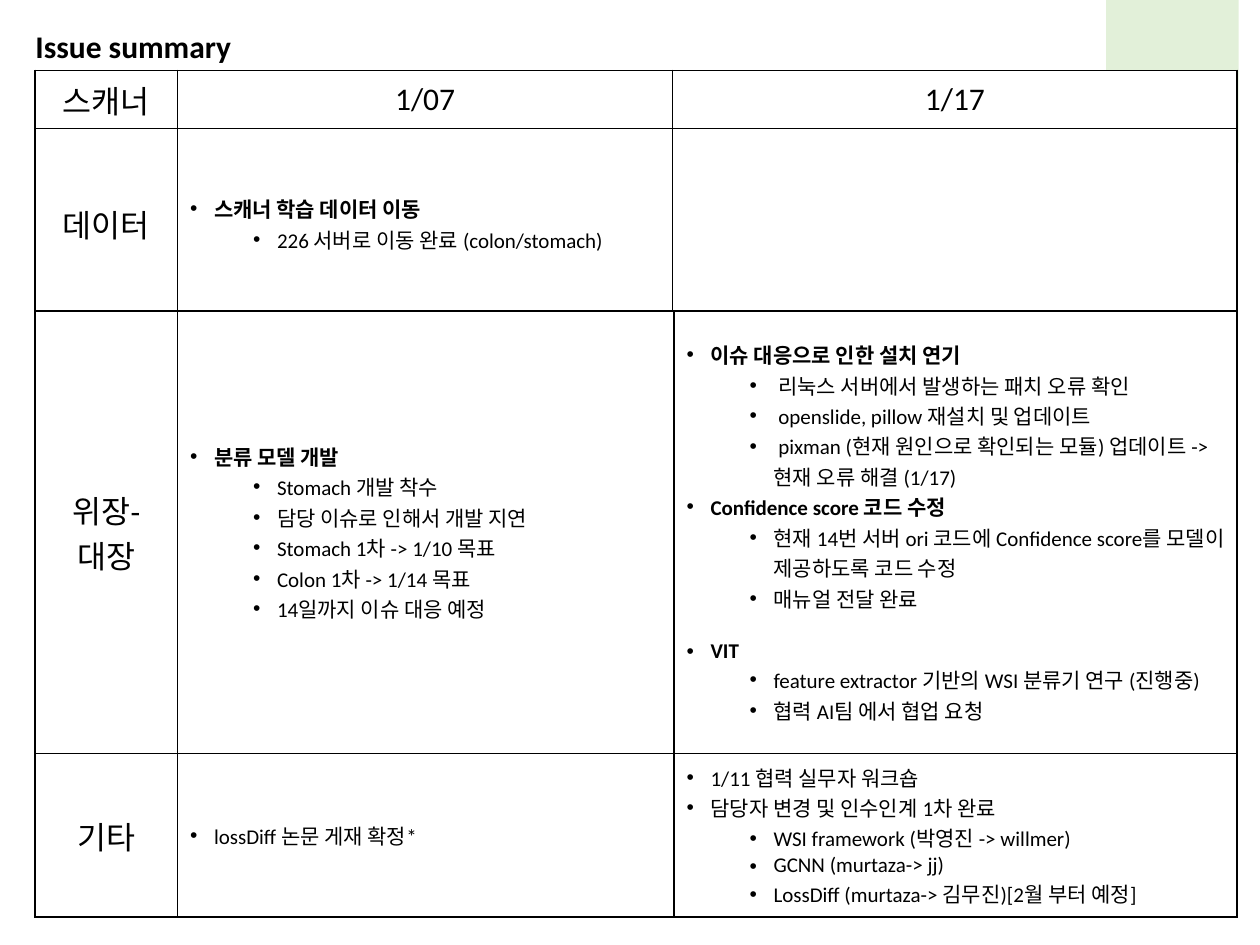
from dataclasses import dataclass

from lxml import etree
from pptx import Presentation
from pptx.dml.color import RGBColor
from pptx.enum.shapes import MSO_SHAPE
from pptx.enum.text import MSO_ANCHOR, MSO_AUTO_SIZE, PP_ALIGN
from pptx.oxml.ns import qn
from pptx.util import Cm, Pt

RECT = MSO_SHAPE.RECTANGLE
MIDDLE, TOP = MSO_ANCHOR.MIDDLE, MSO_ANCHOR.TOP
LEFT, CENTER = PP_ALIGN.LEFT, PP_ALIGN.CENTER
FIXED = MSO_AUTO_SIZE.NONE
FONT = "Calibri"
BLACK, WHITE, GREEN = "000000", "FFFFFF", "E2F0D9"
HANG = 0.48  # bullet to text, cm
STEP = 1.27  # extra indent per level, cm
EDGE = 0.71  # left side of the tables, cm


@dataclass
class Item:
    text: str
    level: int = 0
    bold: bool = False
    gap: float = 0


@dataclass
class Grid:
    top: float
    cols: list[float]
    rows: list[float]
    cells: list[list]


def color(code: str) -> RGBColor:
    return RGBColor.from_string(code)


def add_run(para, text: str, size: float, bold: bool = False) -> None:
    run = para.add_run()
    run.text = text
    font = run.font
    font.name, font.size, font.bold = FONT, Pt(size), bold
    font.color.rgb = color(BLACK)


def add_item(para, item: Item) -> None:
    props = para._p.get_or_add_pPr()
    props.set("marL", str(Cm(HANG + STEP * item.level)))
    props.set("indent", str(-Cm(HANG)))
    etree.SubElement(props, qn("a:buFont")).set("typeface", "Arial")
    etree.SubElement(props, qn("a:buChar")).set("char", "•")
    para.level = item.level
    if item.gap:
        para.space_before = Pt(item.gap)
    add_run(para, item.text, 12, item.bold)


def add_border(cell) -> None:
    props = cell._tc.get_or_add_tcPr()
    for side in ("lnL", "lnR", "lnT", "lnB"):
        line = etree.SubElement(props, qn(f"a:{side}"), w=str(Pt(1)))
        fill = etree.SubElement(line, qn("a:solidFill"))
        etree.SubElement(fill, qn("a:srgbClr"), val=BLACK)


def fill_cell(cell, data: str | list[Item]) -> None:
    add_border(cell)
    cell.fill.solid()
    cell.fill.fore_color.rgb = color(WHITE)
    cell.vertical_anchor = MIDDLE
    frame = cell.text_frame
    if isinstance(data, str):
        para = frame.paragraphs[0]
        para.alignment = CENTER
        add_run(para, data, 18)
        return
    for n, item in enumerate(data):
        add_item(frame.add_paragraph() if n else frame.paragraphs[0], item)


def add_grid(slide, grid: Grid) -> None:
    table = slide.shapes.add_table(
        len(grid.rows), len(grid.cols), Cm(EDGE), Cm(grid.top),
        Cm(sum(grid.cols)), Cm(sum(grid.rows))).table
    table.first_row = table.horz_banding = False
    for col, width in zip(table.columns, grid.cols):
        col.width = Cm(width)
    for row, height, line in zip(table.rows, grid.rows, grid.cells):
        row.height = Cm(height)
        for cell, data in zip(row.cells, line):
            fill_cell(cell, data)


def topic(head: str, *subs: str, bold: bool = True, gap: float = 0) -> list[Item]:
    return [Item(head, 0, bold, gap)] + [Item(sub, 1) for sub in subs]


GRIDS = [
    Grid(1.42, [2.87, 9.98, 11.38], [1.02, 3.83], [
        ["스캐너", "1/07", "1/17"],
        ["데이터",
         topic("스캐너 학습 데이터 이동", "226 서버로 이동 완료 (colon/stomach)"),
         []],
    ]),
    Grid(6.27, [2.87, 10.01, 11.35], [8.92, 3.3], [
        ["위장-대장",
         topic("분류 모델 개발",
               "Stomach 개발 착수",
               "담당 이슈로 인해서 개발 지연",
               "Stomach 1차 -> 1/10 목표",
               "Colon 1차 -> 1/14 목표",
               "14일까지 이슈 대응 예정"),
         topic("이슈 대응으로 인한 설치 연기",
               " 리눅스 서버에서 발생하는 패치 오류 확인",
               " openslide, pillow 재설치 및 업데이트",
               " pixman (현재 원인으로 확인되는 모듈) 업데이트 -> 현재 오류 해결 (1/17)")
         + topic("Confidence score 코드 수정",
                 "현재 14번 서버 ori 코드에 Confidence score를 모델이 제공하도록 코드 수정",
                 "매뉴얼 전달 완료")
         + topic("VIT",
                 "feature extractor 기반의 WSI 분류기 연구 (진행중)",
                 "협력 AI팀 에서 협업 요청", gap=14.6)],
        ["기타",
         topic("lossDiff 논문 게재 확정*", bold=False),
         topic("1/11 협력 실무자 워크숍", bold=False)
         + topic("담당자 변경 및 인수인계 1차 완료",
                 "WSI framework (박영진 -> willmer)",
                 "GCNN (murtaza-> jj)",
                 "LossDiff (murtaza-> 김무진)[2월 부터 예정]", bold=False)],
    ]),
]


def main() -> None:
    deck = Presentation()
    deck.slide_width, deck.slide_height = Cm(25.4), Cm(19.05)
    slide = deck.slides.add_slide(deck.slide_layouts[5])

    # Green corner block
    block = slide.shapes.add_shape(RECT, Cm(22.3), Cm(-0.38), Cm(2.67), Cm(3.66))
    block.shadow.inherit = False
    block.fill.solid()
    block.fill.fore_color.rgb = color(GREEN)
    block.line.fill.background()

    # Title
    title = slide.shapes.title
    title.left, title.top = Cm(0.46), Cm(0.41)
    title.width, title.height = Cm(7.95), Cm(1.02)
    frame = title.text_frame
    frame.auto_size, frame.word_wrap = FIXED, True
    frame.vertical_anchor = TOP
    para = frame.paragraphs[0]
    para.alignment = LEFT
    add_run(para, "Issue summary", 18, True)

    # Issue tables
    for grid in GRIDS:
        add_grid(slide, grid)

    deck.save("out.pptx")


if __name__ == "__main__":
    main()
